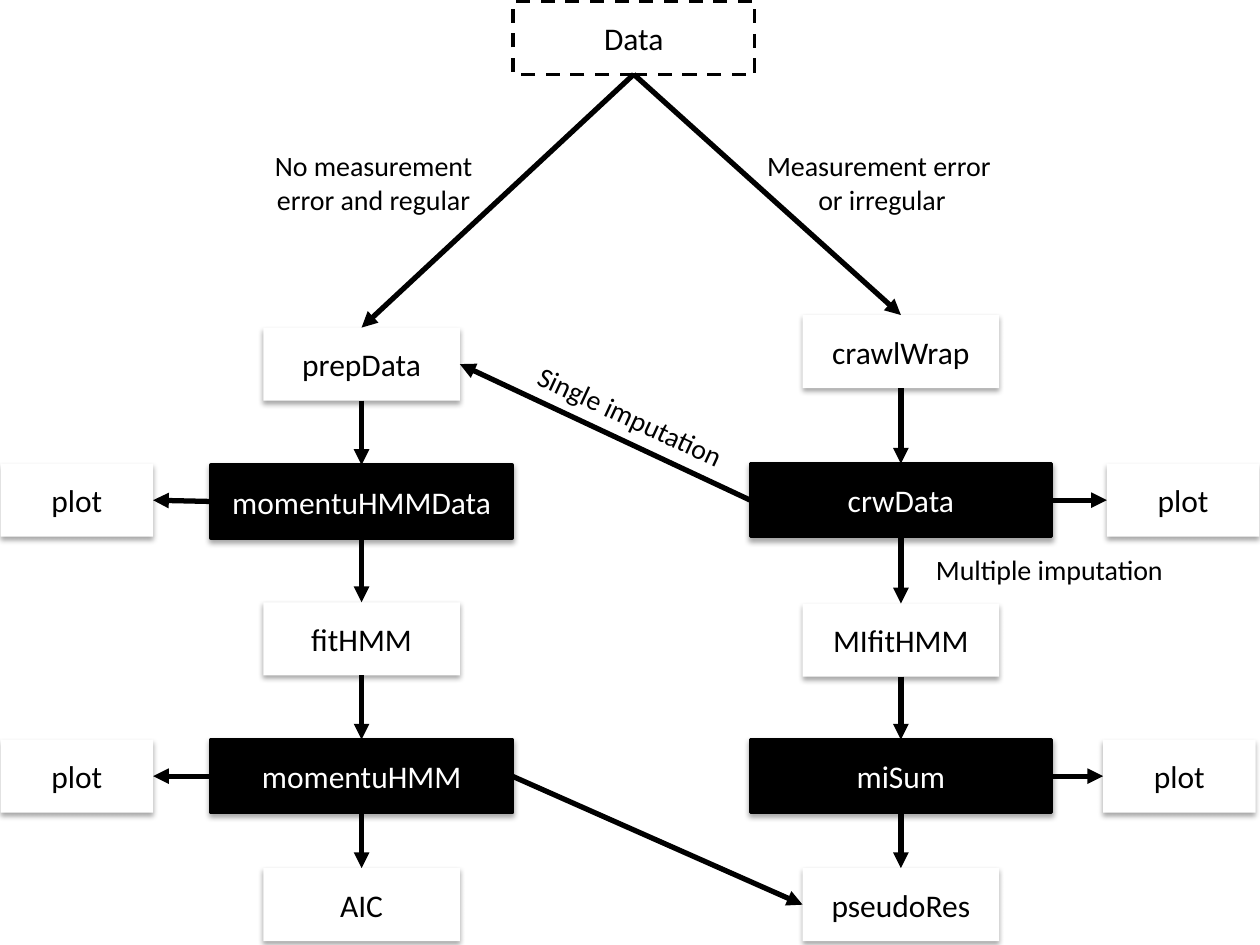
from dataclasses import dataclass

import pptx
import pptx.dml.color
import pptx.enum.dml
import pptx.enum.shapes
import pptx.enum.text
import pptx.oxml
import pptx.oxml.ns
import pptx.util

Inches, Pt = pptx.util.Inches, pptx.util.Pt
BLACK = pptx.dml.color.RGBColor(0, 0, 0)
WHITE = pptx.dml.color.RGBColor(255, 255, 255)
CENTER = pptx.enum.text.PP_ALIGN.CENTER
LEFT = pptx.enum.text.PP_ALIGN.LEFT
MIDDLE = pptx.enum.text.MSO_ANCHOR.MIDDLE
TOP_ANCHOR = pptx.enum.text.MSO_ANCHOR.TOP
TOP, WEST, BOTTOM, EAST = range(4)  # connection sites of a rectangle
BOX_H = 0.58
LEFT_X, RIGHT_X = 2.87, 7.15  # centres of the two workflow columns
NS = pptx.oxml.ns.nsdecls("a")
SHADOW = (
    f'<a:effectLst {NS}><a:outerShdw blurRad="39370" dist="22860" dir="5400000" '
    'rotWithShape="0"><a:srgbClr val="000000"><a:alpha val="35000"/></a:srgbClr>'
    "</a:outerShdw></a:effectLst>"
)


@dataclass(frozen=True)
class Style:
    """Look of one kind of box."""
    width: float
    fill: pptx.dml.color.RGBColor | None
    outlined: bool
    dashed: bool
    ink: pptx.dml.color.RGBColor


@dataclass(frozen=True)
class Node:
    """A box, placed by its centre line and top."""
    key: str
    text: str
    cx: float
    top: float
    style: Style


@dataclass(frozen=True)
class Arrow:
    """An arrow between connection sites of two boxes."""
    start: str
    start_site: int
    end: str
    end_site: int


@dataclass(frozen=True)
class Label:
    """Free text beside an arrow."""
    lines: tuple
    box: tuple
    aligns: tuple
    rotation: float = 0


SOURCE = Style(1.92, None, True, True, BLACK)
FUNCTION = Style(1.56, WHITE, False, False, BLACK)
PLOT = Style(1.21, WHITE, False, False, BLACK)
RESULT = Style(2.39, BLACK, True, False, WHITE)

NODES = [
    Node("data", "Data", 5.03, 0.01, SOURCE),
    Node("prep", "prepData", LEFT_X, 2.6, FUNCTION),
    Node("hmm_data", "momentuHMMData", LEFT_X, 3.69, RESULT),
    Node("fit", "fitHMM", LEFT_X, 4.78, FUNCTION),
    Node("hmm", "momentuHMM", LEFT_X, 5.87, RESULT),
    Node("aic", "AIC", LEFT_X, 6.89, FUNCTION),
    Node("crawl", "crawlWrap", RIGHT_X, 2.5, FUNCTION),
    Node("crw", "crwData", RIGHT_X, 3.68, RESULT),
    Node("mi_fit", "MIfitHMM", RIGHT_X, 4.79, FUNCTION),
    Node("mi_sum", "miSum", RIGHT_X, 5.87, RESULT),
    Node("res", "pseudoRes", RIGHT_X, 6.89, FUNCTION),
    Node("hmm_data_plot", "plot", 0.61, 3.68, PLOT),
    Node("hmm_plot", "plot", 0.61, 5.87, PLOT),
    Node("crw_plot", "plot", 9.39, 3.68, PLOT),
    Node("mi_sum_plot", "plot", 9.36, 5.87, PLOT),
]

CHAINS = [
    ("data", "prep", "hmm_data", "fit", "hmm", "aic"),
    ("data", "crawl", "crw", "mi_fit", "mi_sum", "res"),
]
ARROWS = [
    Arrow(a, BOTTOM, b, TOP) for chain in CHAINS for a, b in zip(chain, chain[1:])
] + [
    Arrow("hmm_data", WEST, "hmm_data_plot", EAST),
    Arrow("hmm", WEST, "hmm_plot", EAST),
    Arrow("crw", EAST, "crw_plot", WEST),
    Arrow("mi_sum", EAST, "mi_sum_plot", WEST),
    Arrow("hmm", EAST, "res", WEST),
    Arrow("crw", WEST, "prep", EAST),
]

LABELS = [
    Label(("No measurement error and regular",), (1.89, 1.13, 2.15, 0.64), (CENTER,)),
    Label(("Measurement error", "or irregular"), (5.99, 1.13, 2.02, 0.64), (LEFT, CENTER)),
    Label(("Single imputation",), (4.09, 3.23, 2.31, 0.37), (LEFT,), 24.9),
    Label(("Multiple imputation",), (7.33, 4.34, 2.31, 0.37), (LEFT,)),
]


def write(sp, lines: tuple, aligns: tuple, size: int, color, anchor) -> None:
    """Write one paragraph per line into a shape."""
    tf = sp.text_frame
    tf.word_wrap = True
    tf.vertical_anchor = anchor
    for i, (line, align) in enumerate(zip(lines, aligns)):
        p = tf.add_paragraph() if i else tf.paragraphs[0]
        p.alignment = align
        r = p.add_run()
        r.text = line
        for name, value in {"name": "Calibri", "size": Pt(size)}.items():
            setattr(r.font, name, value)
        r.font.color.rgb = color


def add_node(slide, node: Node):
    """Draw a box with its text and return it."""
    style = node.style
    sp = slide.shapes.add_shape(
        pptx.enum.shapes.MSO_SHAPE.RECTANGLE,
        Inches(node.cx - style.width / 2), Inches(node.top),
        Inches(style.width), Inches(BOX_H),
    )
    sp.shadow.inherit = False
    if style.fill is None:
        sp.fill.background()
    else:
        sp.fill.solid()
        sp.fill.fore_color.rgb = style.fill
    if style.outlined:
        sp.line.color.rgb = BLACK
        sp.line.width = Pt(2)
    else:
        sp.line.fill.background()
    if style.dashed:
        sp.line.dash_style = pptx.enum.dml.MSO_LINE.DASH
    if style.fill is not None:
        spPr = sp._element.spPr
        spPr.remove(spPr.find(pptx.oxml.ns.qn("a:effectLst")))
        spPr.append(pptx.oxml.parse_xml(SHADOW))
    write(sp, (node.text,), (CENTER,), 18, style.ink, MIDDLE)
    return sp


def add_arrow(slide, boxes: dict, arrow: Arrow) -> None:
    """Join two boxes with an arrow."""
    cxn = slide.shapes.add_connector(pptx.enum.shapes.MSO_CONNECTOR.STRAIGHT, 0, 0, 0, 0)
    cxn.begin_connect(boxes[arrow.start], arrow.start_site)
    cxn.end_connect(boxes[arrow.end], arrow.end_site)
    cxn.line.color.rgb = BLACK
    cxn.line.width = Pt(3)
    cxn.line._get_or_add_ln().append(
        pptx.oxml.parse_xml(f'<a:tailEnd {NS} type="triangle"/>'))
    cxn._element.spPr.append(pptx.oxml.parse_xml(f"<a:effectLst {NS}/>"))


def add_label(slide, label: Label) -> None:
    """Place free text on the slide."""
    sp = slide.shapes.add_textbox(*map(Inches, label.box))
    sp.rotation = label.rotation
    write(sp, label.lines, label.aligns, 16, BLACK, TOP_ANCHOR)


def main() -> None:
    """Build and save the workflow slide."""
    prs = pptx.Presentation()
    prs.slide_width, prs.slide_height = Inches(10), Inches(7.5)
    slide = prs.slides.add_slide(prs.slide_layouts[6])
    boxes = {node.key: add_node(slide, node) for node in NODES}
    for arrow in ARROWS:
        add_arrow(slide, boxes, arrow)
    for label in LABELS:
        add_label(slide, label)
    prs.save("out.pptx")


main()
